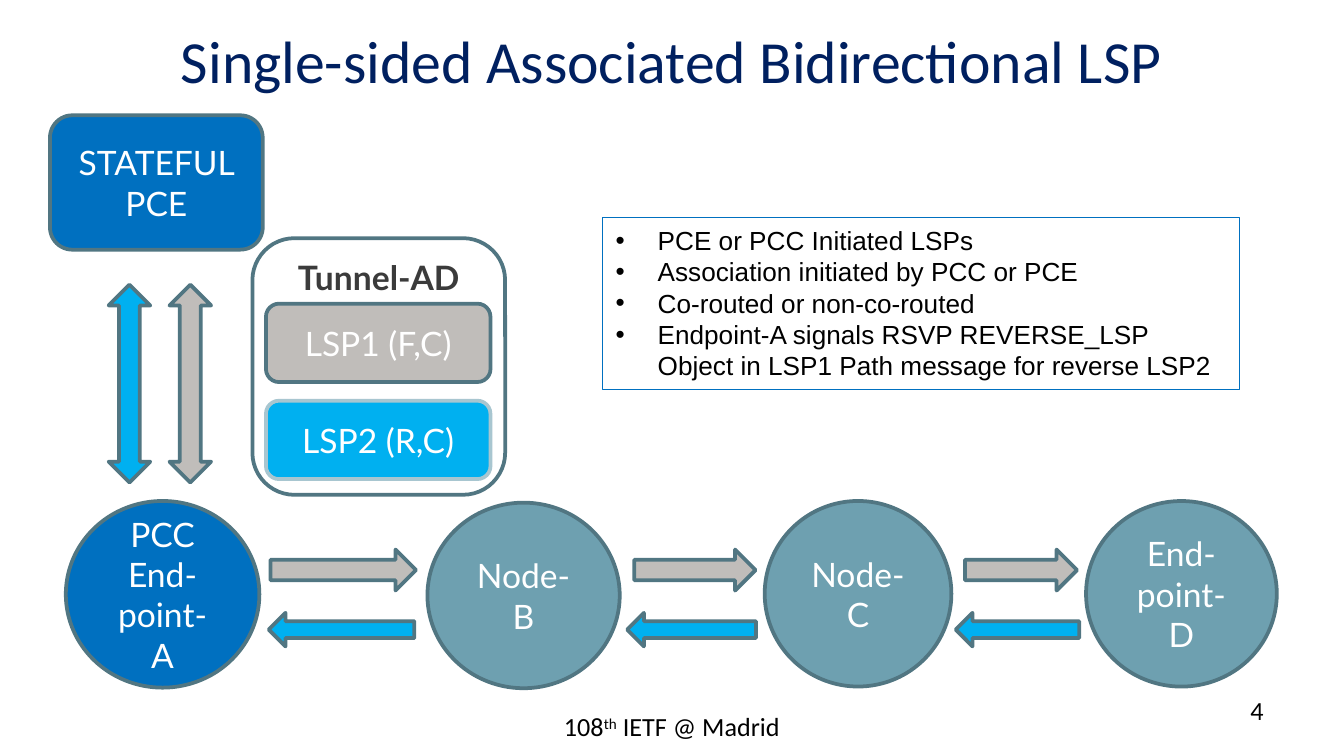
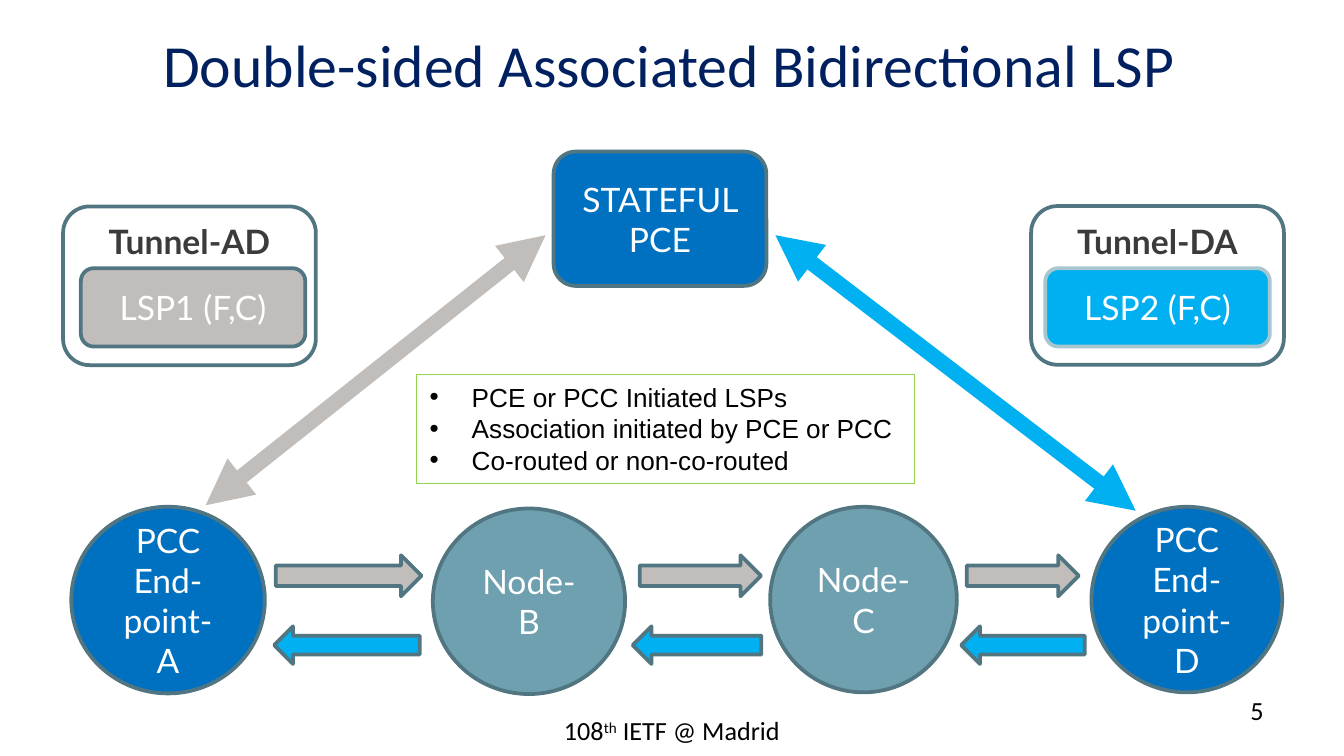
"""Builds two slides on associated bidirectional LSPs."""
from pptx import Presentation
from pptx.dml.color import RGBColor as RGB
from pptx.enum.shapes import MSO_CONNECTOR as Conn, MSO_SHAPE as Kind
from pptx.enum.text import MSO_ANCHOR as Anchor, MSO_AUTO_SIZE as Fit, PP_ALIGN as Align
from pptx.oxml.ns import qn
from pptx.util import Pt
from lxml.etree import SubElement as Sub

HUES = {
    "navy": "002060", "blue": "0070C0", "sky": "00B0F0", "gray": "C0BDBA",
    "teal": "6EA0B0", "edge": "517682", "pale": "A8C6D0", "green": "92D050",
    "dark": "3B3B3B", "white": "FFFFFF", "black": "000000",
}


def hue(name):
    """Return the named colour."""
    return RGB.from_string(HUES[name])


class Deck:
    """Holds the style and the current slide."""

    def __init__(self):
        """Start an empty wide deck."""
        self.prs = Presentation()
        self.prs.slide_width, self.prs.slide_height = Pt(720), Pt(405)
        self.slide = None

    def place(self, shape, box):
        """Move a shape to a box in points."""
        shape.left, shape.top, shape.width, shape.height = map(Pt, box)

    def style(self, para, size, face, color, align=Align.CENTER, bold=False):
        """Set the font and alignment of a paragraph."""
        para.alignment = align
        font = para.font
        font.size, font.name, font.bold = Pt(size), face, bold
        font.color.rgb = hue(color)

    def page(self, title, box, num, foot):
        """Add a slide with title, footer and number."""
        self.slide = self.prs.slides.add_slide(self.prs.slide_layouts[1])
        head = self.slide.shapes.title
        self.place(head, box)
        frame = head.text_frame
        frame.text = title
        frame.auto_size, frame.vertical_anchor = Fit.NONE, Anchor.MIDDLE
        self.style(frame.paragraphs[0], 32, "Calibri", "navy")
        self.note((246, foot, 228, 28), ("108", "th", " IETF @ Madrid"), Align.CENTER)
        self.note((516, 368.5, 168, 28), (str(num),), Align.RIGHT)

    def note(self, box, parts, align):
        """Add small text whose second part is raised."""
        frame = self.slide.shapes.add_textbox(*map(Pt, box)).text_frame
        frame.word_wrap = True
        para = frame.paragraphs[0]
        for i, part in enumerate(parts):
            run = para.add_run()
            run.text = part
            if i == 1:
                run.font._element.set("baseline", "30000")
        self.style(para, 14, "Calibri", "black", align)

    def points(self, box, items, edge):
        """Fill the body placeholder with a framed list."""
        body = self.slide.placeholders[1]
        self.place(body, box)
        body.line.color.rgb, body.line.width = hue(edge), Pt(0.75)
        frame = body.text_frame
        frame.text = "\n".join(items)
        frame.auto_size, frame.vertical_anchor = Fit.NONE, Anchor.TOP
        for para in frame.paragraphs:
            self.style(para, 14, "Arial", "black", Align.LEFT)
            para.space_before = Pt(0)
            props = para._p.get_or_add_pPr()
            props.set("marL", str(Pt(22.5)))
            props.set("indent", str(Pt(-22.5)))
            Sub(props, qn("a:buFont")).set("typeface", "Arial")
            Sub(props, qn("a:buChar")).set("char", "•")

    def block(self, kind, box, fill, text="", edge="edge", color="white",
              bold=False, anchor=Anchor.MIDDLE):
        """Add an outlined shape with an optional label."""
        shape = self.slide.shapes.add_shape(kind, *map(Pt, box))
        shape.shadow.inherit = False
        shape.fill.solid()
        shape.fill.fore_color.rgb = hue(fill)
        shape.line.color.rgb, shape.line.width = hue(edge), Pt(2)
        if text:
            frame = shape.text_frame
            frame.text, frame.word_wrap = text, True
            frame.vertical_anchor = anchor
            self.style(frame.paragraphs[0], 18, "Lato", color, bold=bold)

    def tunnel(self, box, name):
        """Add a tunnel frame with its name on top."""
        self.block(Kind.ROUNDED_RECTANGLE, box, "white", name, color="dark",
                   bold=True, anchor=Anchor.TOP)

    def path_box(self, x, y, text, fill, edge="edge"):
        """Add an LSP box."""
        self.block(Kind.ROUNDED_RECTANGLE, (x, y, 120.3, 42), fill, text, edge)

    def server(self, x, y):
        """Add the PCE box."""
        self.block(Kind.ROUNDED_RECTANGLE, (x, y, 114, 72), "blue", "STATEFUL PCE")

    def chain(self, dx, dy, last, final, back, thick):
        """Add the row of nodes with arrows both ways."""
        nodes = (
            (35.3, 0, 103.7, 100, "blue", "PCC End-point-A"),
            (229, 0.9, 103, 99.4, "teal", "Node-B"),
            (409.7, 0, 100, 99.4, "teal", "Node-C"),
            (581.8, 0, 102.2, 99.4, *last),
        )
        for x, y, w, h, fill, text in nodes:
            self.block(Kind.OVAL, (x + dx, 268.4 + y + dy, w, h), fill, text)
        for x, w in ((144.9 + dx, 78), (339.8 + dx, 65), (final, 60)):
            self.block(Kind.RIGHT_ARROW, (x, 294.4 + dy, w, 22), "gray")
        for x, w in ((144, 78), (336, 69), (512, 66.2)):
            self.block(Kind.LEFT_ARROW, (x + dx, back, w, thick), "sky")

    def link(self, start, end, color):
        """Add a thick line with arrowheads at both ends."""
        line = self.slide.shapes.add_connector(Conn.STRAIGHT, *map(Pt, start + end))
        line.line.color.rgb, line.line.width = hue(color), Pt(8.25)
        stroke = line.line._get_or_add_ln()
        for tag in ("a:headEnd", "a:tailEnd"):
            Sub(stroke, qn(tag)).set("type", "triangle")
        Sub(line._element.spPr, qn("a:effectLst"))


deck = Deck()
deck.page("Single-sided Associated Bidirectional LSP", (0, 0.7, 720, 62), 4, 377.3)
deck.tunnel((135.2, 127.6, 135.4, 137.5), "Tunnel-AD")
deck.server(26.8, 61.8)
deck.chain(0, 0, ("teal", "End-point-D"), 517, 328.3, 18)
deck.path_box(142.5, 162.7, "LSP1 (F,C)", "gray")
deck.path_box(142.5, 214.7, "LSP2 (R,C)", "sky", "pale")
for x, fill in ((90.8, "gray"), (58.2, "sky")):
    deck.block(Kind.UP_DOWN_ARROW, (x, 152.5, 22.3, 106), fill)
deck.points((322.6, 116.6, 341.3, 92.2), (
    "PCE or PCC Initiated LSPs",
    "Association initiated by PCC or PCE",
    "Co-routed or non-co-routed",
    "Endpoint-A signals RSVP REVERSE_LSP Object in LSP1 Path message for reverse LSP2",
), "blue")

deck.page("Double-sided Associated Bidirectional LSP", (-1.4, 0, 720, 67.7), 5, 379.4)
deck.tunnel((552.4, 110.4, 135.4, 85), "Tunnel-DA")
deck.tunnel((33.8, 110.6, 135.4, 85), "Tunnel-AD")
deck.server(296.6, 81.2)
deck.chain(2.9, 3.1, ("blue", "PCC End-point-D"), 517.9, 335.5, 20.2)
deck.path_box(43.3, 143.7, "LSP1 (F,C)", "gray")
deck.path_box(560, 143.7, "LSP2 (F,C)", "sky", "pale")
deck.points((223, 200.6, 267, 58.5), (
    "PCE or PCC Initiated LSPs",
    "Association initiated by PCE or PCC",
    "Co-routed or non-co-routed",
), "green")
deck.link((292.3, 126), (110.2, 270.7), "gray")
deck.link((415.4, 126), (608.4, 273.6), "sky")
deck.prs.save("out.pptx")
